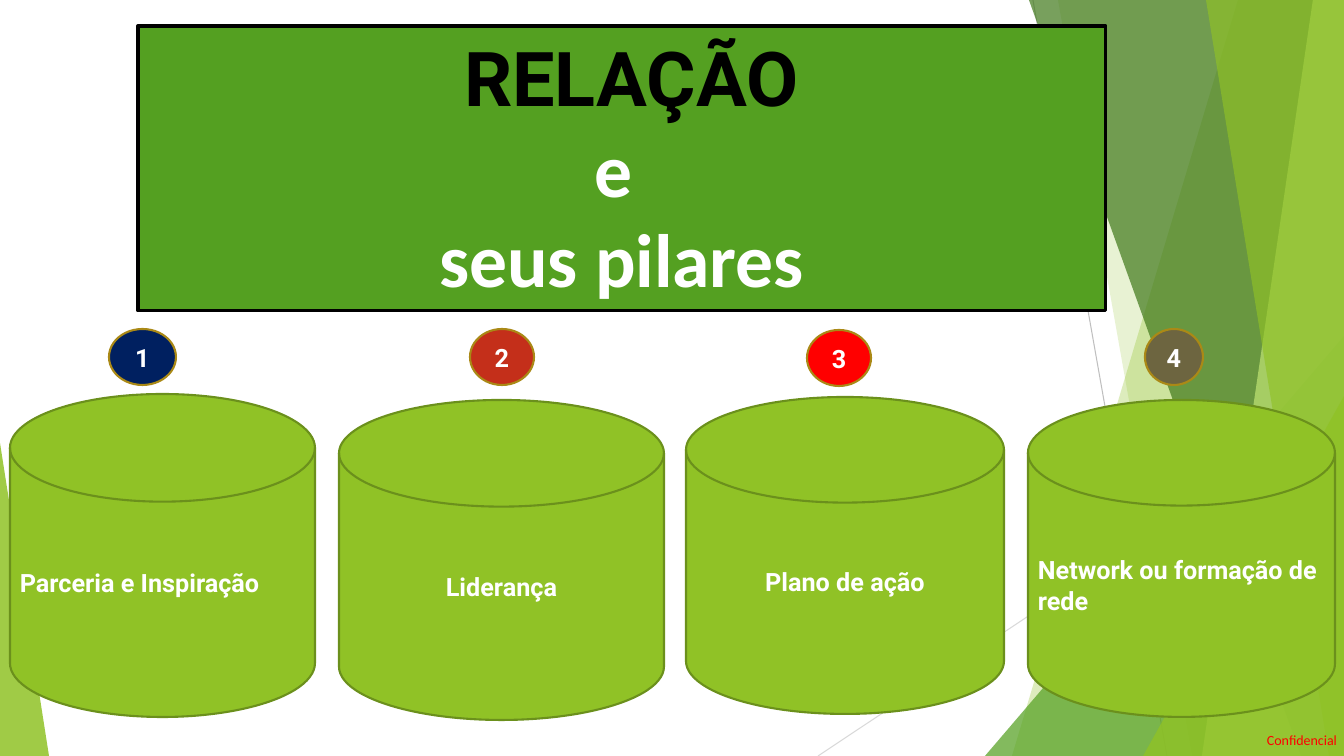
import pptx
import pptx.dml.color
import pptx.enum.shapes
import pptx.enum.text
import pptx.oxml.ns
import pptx.util
from lxml import etree

SCALE = 914400 / 100.8
WIDTH, HEIGHT = 1344, 756
LIME, GREEN, WHITE, BLACK = "90C226", "54A021", "FFFFFF", "000000"
SHAPE = pptx.enum.shapes.MSO_SHAPE
ALIGN = pptx.enum.text.PP_ALIGN
ANCHOR = pptx.enum.text.MSO_ANCHOR
FIT = pptx.enum.text.MSO_AUTO_SIZE.SHAPE_TO_FIT_TEXT

STRIPS = [
    (1238, 1012, LIME, 30),
    (1058, 1192, LIME, 20),
    (1029, 1301, "3F7819", 70),
    (1313, 1202, "C0E474", 70),
    (1206, 1329, LIME, 65),
]
BADGES = [
    ("1", 109, 329, 67, "002060"),
    ("2", 470, 329, 64, "C42F1A"),
    ("3", 807, 330, 64, "FF0000"),
    ("4", 1145, 329, 58, "6D6540"),
]
PILLARS = [
    ("Parceria e Inspiração", (10, 394, 305, 323), ALIGN.LEFT),
    ("Liderança", (339, 400, 325, 320), ALIGN.CENTER),
    ("Plano de ação", (686, 397, 318, 317), ALIGN.CENTER),
    ("Network ou formação de rede", (1028, 400, 307, 317), ALIGN.LEFT),
]


def px(n):
    return pptx.util.Emu(round(n * SCALE))


def rgb(value):
    return pptx.dml.color.RGBColor.from_string(value)


def paint(sp, fill, line=None, weight=1.5, alpha=100):
    sp.shadow.inherit = False
    sp.fill.solid()
    sp.fill.fore_color.rgb = rgb(fill)
    if alpha < 100:
        color = sp.fill._xPr.find(".//" + pptx.oxml.ns.qn("a:srgbClr"))
        etree.SubElement(color, pptx.oxml.ns.qn("a:alpha"), val=str(alpha * 1000))
    if line:
        sp.line.color.rgb = rgb(line)
        sp.line.width = pptx.util.Pt(weight)
    else:
        sp.line.fill.background()


def add_shape(s, kind, box, *style, **options):
    sp = s.shapes.add_shape(kind, *map(px, box))
    paint(sp, *style, **options)
    return sp


def add_strip(s, top_x, bottom_x, fill, alpha):
    builder = s.shapes.build_freeform(top_x, 0, scale=SCALE)
    builder.add_line_segments([(WIDTH, 0), (WIDTH, HEIGHT), (bottom_x, HEIGHT)])
    paint(builder.convert_to_shape(), fill, alpha=alpha)


def add_triangle(s, box, tip, fill, alpha):
    sp = add_shape(s, SHAPE.ISOSCELES_TRIANGLE, box, fill, alpha=alpha)
    sp.adjustments[0] = tip


def add_line(s, ends, color):
    c = s.shapes.add_connector(pptx.enum.shapes.MSO_CONNECTOR.STRAIGHT, *map(px, ends))
    c.line.color.rgb = rgb(color)
    c.line.width = pptx.util.Pt(0.75)
    etree.SubElement(c._element.spPr, pptx.oxml.ns.qn("a:effectLst"))


def write(p, text, size, font, color, align, bold=True):
    p.text = text
    p.alignment = align
    r = p.runs[0]
    r.font.size = pptx.util.Pt(size)
    r.font.name = font
    r.font.bold = bold
    r.font.color.rgb = rgb(color)


def add_label(sp, text, align):
    tf = sp.text_frame
    tf.vertical_anchor = ANCHOR.MIDDLE
    write(tf.paragraphs[0], text, 18, "Roboto", WHITE, align)


def add_title(s):
    sp = add_shape(s, SHAPE.RECTANGLE, (138, 26, 968, 285), GREEN, BLACK, 2.25)
    tf = sp.text_frame
    tf.vertical_anchor = ANCHOR.TOP
    tf.auto_size = FIT
    lines = [(" RELAÇÃO", "Roboto", BLACK), ("e ", "Calibri", WHITE),
             ("seus pilares", "Calibri", WHITE)]
    for i, (text, font, color) in enumerate(lines):
        p = tf.add_paragraph() if i else tf.paragraphs[0]
        write(p, text, 54, font, color, ALIGN.CENTER)


def add_classification(s):
    tf = s.shapes.add_textbox(px(1267), px(732), px(74), px(17)).text_frame
    tf.margin_left = tf.margin_top = tf.margin_right = tf.margin_bottom = 0
    tf.word_wrap = True
    tf.auto_size = FIT
    write(tf.paragraphs[0], "Confidencial", 10, "Calibri", "FF0000", ALIGN.LEFT, False)


def add_backdrop(s):
    add_line(s, (1033, 0, 1167, HEIGHT), "BFBFBF")
    add_line(s, (WIDTH, 406, 818, HEIGHT), "D9D9D9")
    for strip in STRIPS[:2]:
        add_strip(s, *strip)
    add_triangle(s, (985, 336, 359, 420), 1, GREEN, 72)
    for strip in STRIPS[2:]:
        add_strip(s, *strip)
    add_triangle(s, (1143, 396, 201, 360), 1, LIME, 80)
    add_triangle(s, (0, 443, 49, 313), 0, LIME, 85)


def main():
    prs = pptx.Presentation()
    prs.slide_width, prs.slide_height = px(WIDTH), px(HEIGHT)
    s = prs.slides.add_slide(prs.slide_layouts[6])
    add_backdrop(s)
    add_classification(s)
    add_title(s)
    for number, x, y, width, fill in BADGES:
        sp = add_shape(s, SHAPE.OVAL, (x, y, width, 56), fill, "AA8916")
        add_label(sp, number, ALIGN.CENTER)
    for text, box, align in PILLARS:
        sp = add_shape(s, SHAPE.FLOWCHART_MAGNETIC_DISK, box, LIME, "6B901C")
        add_label(sp, text, align)
    prs.save("out.pptx")


if __name__ == "__main__":
    main()
